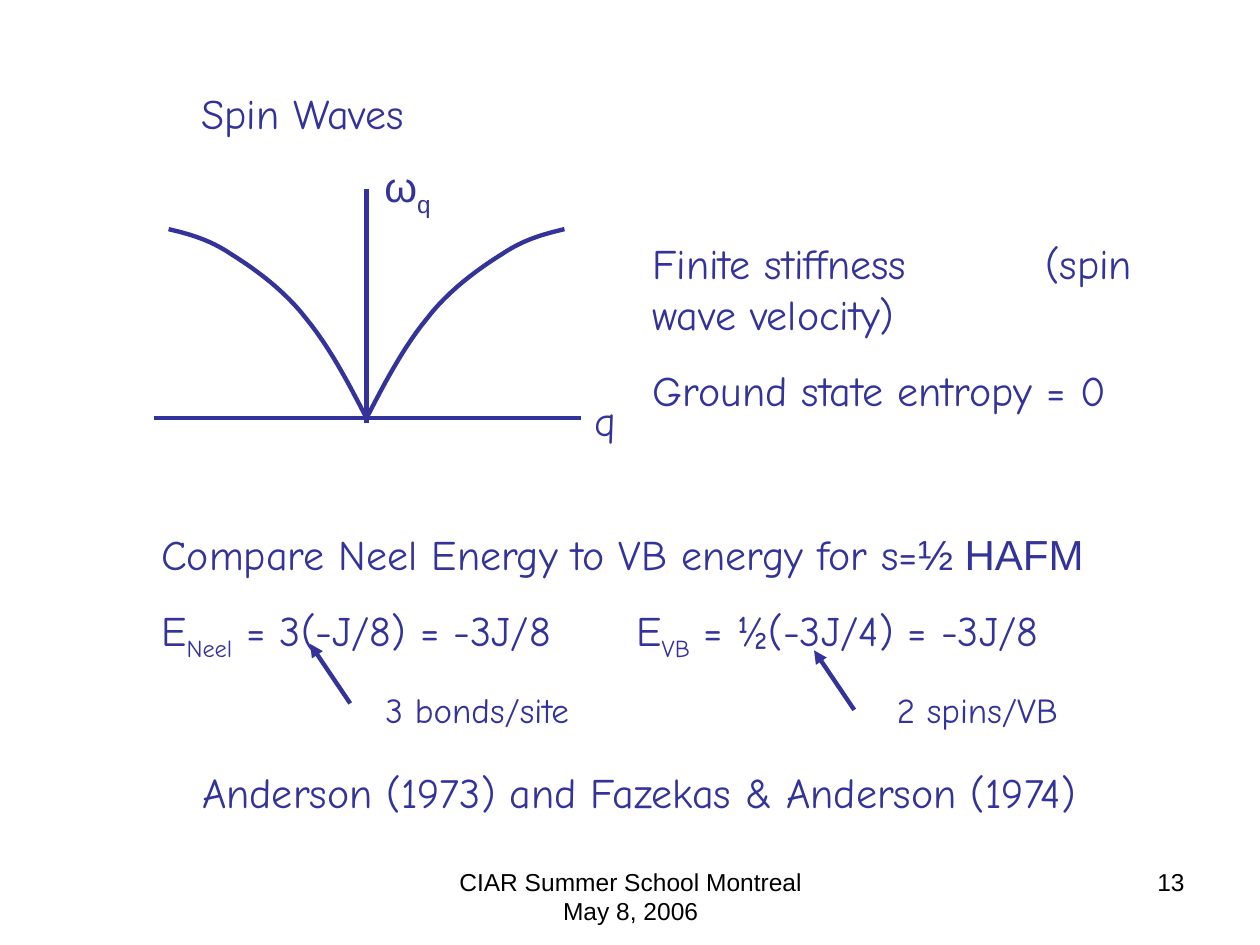
import pptx
import pptx.dml.color
import pptx.enum.shapes
import pptx.enum.text
import pptx.oxml
import pptx.oxml.ns
import pptx.util

Cm = pptx.util.Cm
Pt = pptx.util.Pt
ALIGN = pptx.enum.text.PP_ALIGN
INK = "333399"
HAND = "Comic Neue"
SUBSCRIPT = "-25000"


def color(value):
    """Turn a hex string into a colour."""
    return pptx.dml.color.RGBColor.from_string(value)


def drawing_element(parent, tag, **attributes):
    """Append a DrawingML element with the given attributes."""
    element = pptx.oxml.parse_xml(f"<a:{tag} {pptx.oxml.ns.nsdecls('a')}/>")
    for name, value in attributes.items():
        element.set(name, str(value))
    parent.append(element)
    return element


def add_text(page, box, paragraphs, align=ALIGN.LEFT, gap=15, size=24, font=HAND, ink=INK):
    """Place paragraphs, each a pair of spans and tab stops, in a box."""
    frame = page.shapes.add_textbox(*map(Cm, box)).text_frame
    frame.word_wrap = True
    for index, (spans, stops) in enumerate(paragraphs):
        para = frame.add_paragraph() if index else frame.paragraphs[0]
        para.alignment = align
        para.space_before = Pt(gap if index else 0)
        if stops:
            tabs = drawing_element(para._p.get_or_add_pPr(), "tabLst")
            for stop in stops:
                drawing_element(tabs, "tab", pos=Cm(stop), algn="l")
        for text, style in spans:
            span = para.add_run()
            span.text = text
            span.font.name = style.get("font", font)
            span.font.size = Pt(style.get("size", size))
            span.font.color.rgb = color(ink)
            if style.get("sub"):
                span._r.get_or_add_rPr().set("baseline", SUBSCRIPT)


def add_line_of_text(page, box, text, **options):
    """Place a single evenly formatted paragraph."""
    add_text(page, box, [([(text, {})], [])], **options)


def style_line(line):
    """Give a line the ink colour and weight."""
    line.color.rgb = color(INK)
    line.width = Pt(2.5)


def add_line(page, start, end, arrow=False):
    """Draw a straight line, with an arrowhead at its end if asked."""
    kind = pptx.enum.shapes.MSO_CONNECTOR.STRAIGHT
    connector = page.shapes.add_connector(kind, *map(Cm, start + end))
    style_line(connector.line)
    drawing_element(connector._element.spPr, "effectLst")
    if arrow:
        drawing_element(connector.line._get_or_add_ln(), "tailEnd", type="triangle")


def bezier_points(knots, steps=12):
    """Sample a chain of cubic curves."""
    points = [knots[0]]
    for first in range(0, len(knots) - 1, 3):
        corners = knots[first:first + 4]
        for step in range(1, steps + 1):
            t = step / steps
            weights = ((1 - t) ** 3, 3 * t * (1 - t) ** 2, 3 * t * t * (1 - t), t ** 3)
            points.append(tuple(
                sum(weight * corner[axis] for weight, corner in zip(weights, corners))
                for axis in (0, 1)))
    return points


def dispersion_plot(page, left, top):
    """Draw the axes, their labels and the two mirrored branches."""
    origin_x, origin_y = left + 4.29, top + 5.31
    add_line(page, (left, origin_y), (left + 8.61, origin_y))
    add_line(page, (origin_x, origin_y + 0.1), (origin_x, top + 0.69))
    knots = [(0, 0), (0.38, 0.74), (0.76, 1.45), (1.22, 2.01), (1.65, 2.57),
             (2.24, 3), (2.72, 3.3), (3.18, 3.61), (3.58, 3.71), (3.99, 3.81)]
    for side in (1, -1):
        points = [(Cm(origin_x + side * x), Cm(origin_y - y)) for x, y in bezier_points(knots)]
        builder = page.shapes.build_freeform(*points[0])
        builder.add_line_segments(points[1:], close=False)
        branch = builder.convert_to_shape()
        branch.shadow.inherit = False
        branch.fill.background()
        style_line(branch.line)
    add_line_of_text(page, (left + 8.41, top + 4.7, 1.4, 1.27), "q", align=ALIGN.CENTER)
    omega = [("ω", {}), ("q", {"sub": True})]
    add_text(page, (left + 4.11, top, 2.01, 1.42), [(omega, [])],
             align=ALIGN.CENTER, font="Arial")


def properties(page, box):
    """List the stiffness and the entropy."""
    add_text(page, box, [
        ([("Finite stiffness\t(spin wave velocity)", {})], [7.92]),
        ([("Ground state entropy = 0", {})], []),
    ])


def energy_comparison(page, left, top):
    """Set the two energies side by side with arrows from their notes."""
    sub = {"sub": True}
    add_text(page, (left, top, 21.31, 4.42), [
        ([("Compare Neel Energy to VB energy for s=", {}), ("½ HAFM", {"font": "Arial"})], []),
        ([("E", {}), ("Neel", sub), (" = 3(-J/8) = -3J/8\tE", {}),
          ("VB", sub), (" = ½(-3J/4) = -3J/8", {})], [9.58]),
        ([("\t3 bonds/site\t2 spins/VB", {"size": 20})], [4.52, 14.83]),
    ])
    for x, y in ((3.25, 2.46), (13.41, 2.59)):
        add_line(page, (left + x + 0.81, top + y + 1.2), (left + x, top + y), arrow=True)


def footer(page, top):
    """Place the event and the page number."""
    plain = {"size": 14, "font": "Arial", "ink": "000000"}
    add_line_of_text(page, (8.69, top, 8.05, 1.32),
                     "CIAR Summer School Montreal May 8, 2006", align=ALIGN.CENTER, **plain)
    add_line_of_text(page, (18.21, top, 5.92, 1.32), "13", align=ALIGN.RIGHT, **plain)


def main():
    """Build the slide and save it."""
    deck = pptx.Presentation()
    deck.slide_width, deck.slide_height = Cm(25.4), Cm(19.05)
    page = deck.slides.add_slide(deck.slide_layouts[6])
    add_line_of_text(page, (3.81, 1.63, 7.49, 1.27), "Spin Waves")
    dispersion_plot(page, 3.1, 3.12)
    properties(page, (12.9, 4.67, 10.95, 3.84))
    energy_comparison(page, 3, 10.52)
    add_line_of_text(page, (2.77, 15.32, 20.22, 1.27),
                     "Anderson (1973) and Fazekas & Anderson (1974)", align=ALIGN.CENTER)
    footer(page, 17.35)
    deck.save("out.pptx")


if __name__ == "__main__":
    main()
